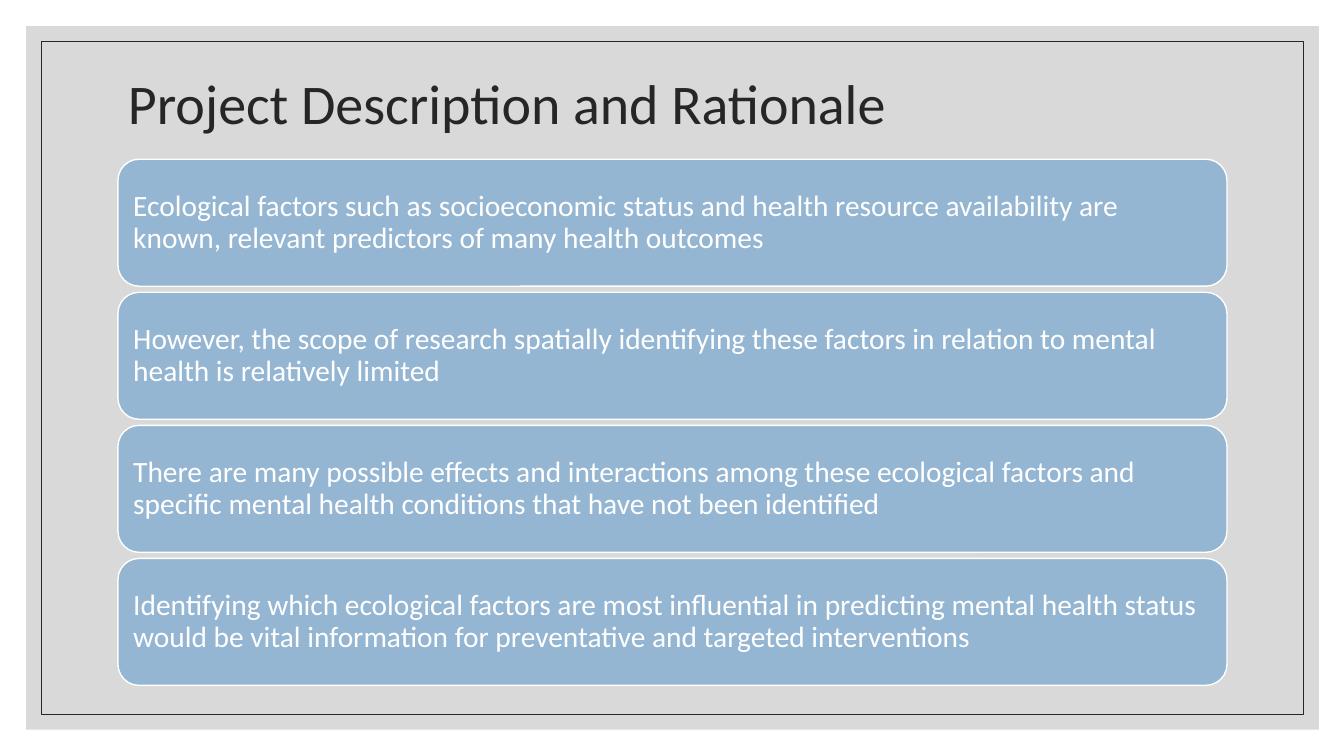
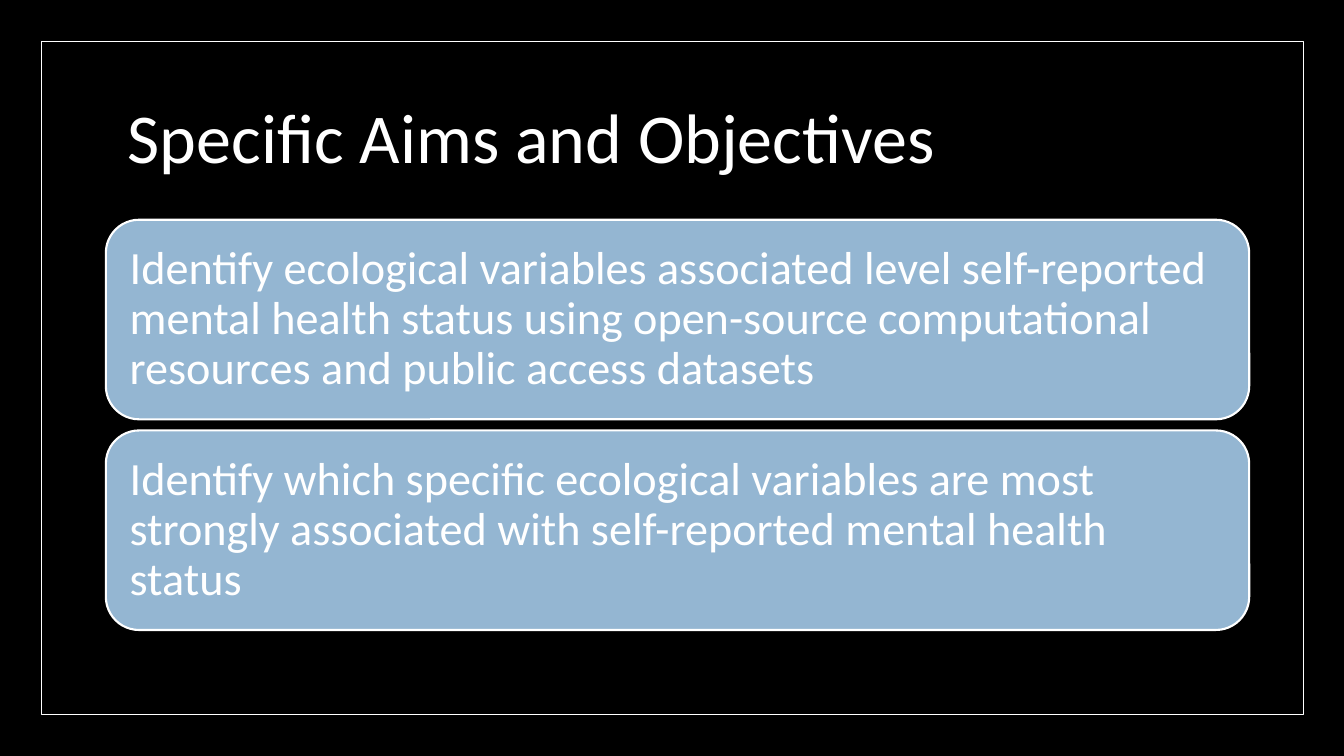
from pptx import Presentation
from pptx.dml.color import RGBColor
from pptx.enum.shapes import MSO_SHAPE
from pptx.enum.text import MSO_ANCHOR, PP_ALIGN
from pptx.util import Inches, Pt

HUES = {
    "white": "FFFFFF",
    "black": "000000",
    "ink": "262626",
    "gray": "D9D9D9",
    "blue": "94B6D2",
}
FONT = "Calibri"


def hue(name):
    return RGBColor.from_string(HUES[name])


class Deck:
    """Shared style and the current slide."""

    def __init__(self):
        self.prs = Presentation()
        self.prs.slide_width = Inches(13.33)
        self.prs.slide_height = Inches(7.5)

    def page(self, back, ink, panel=None):
        self.slide = self.prs.slides.add_slide(self.prs.slide_layouts[6])
        self.ink = ink
        fill = self.slide.background.fill
        fill.solid()
        fill.fore_color.rgb = hue(back)
        # Panel and thin frame
        if panel:
            self.box(MSO_SHAPE.RECTANGLE, (0.26, 0.26, 12.82, 6.98), fill=panel)
        self.box(MSO_SHAPE.RECTANGLE, (0.41, 0.41, 12.52, 6.68), line=ink, width=0.5)

    def box(self, kind, area, fill=None, line=None, width=1):
        shape = self.slide.shapes.add_shape(kind, *map(Inches, area))
        shape.shadow.inherit = False
        if fill:
            shape.fill.solid()
            shape.fill.fore_color.rgb = hue(fill)
        else:
            shape.fill.background()
        if line:
            shape.line.color.rgb = hue(line)
            shape.line.width = Pt(width)
        else:
            shape.line.fill.background()
        return shape

    def label(self, shape, text, size, color):
        frame = shape.text_frame
        frame.word_wrap = True
        frame.vertical_anchor = MSO_ANCHOR.MIDDLE
        para = frame.paragraphs[0]
        para.text = text
        para.alignment = PP_ALIGN.LEFT
        para.line_spacing = 0.9
        para.font.name = FONT
        para.font.size = Pt(size)
        para.font.color.rgb = hue(color)

    def title(self, text, top, size):
        area = (1.17, top, 11, 1.5)
        shape = self.slide.shapes.add_textbox(*map(Inches, area))
        self.label(shape, text, size, self.ink)

    def cards(self, texts, area, step, size, inset, width):
        left, top, wide, high = area
        for i, text in enumerate(texts):
            spot = (left, top + i * step, wide, high)
            card = self.box(MSO_SHAPE.ROUNDED_RECTANGLE, spot, "blue", "white", width)
            frame = card.text_frame
            frame.margin_left = frame.margin_right = Inches(inset)
            frame.margin_top = frame.margin_bottom = Inches(inset)
            self.label(card, text, size, "white")


def main():
    deck = Deck()

    # Rationale
    deck.page("white", "ink", panel="gray")
    deck.title("Project Description and Rationale", 0.31, 40)
    deck.cards(
        [
            "Ecological factors such as socioeconomic status and health resource "
            "availability are known, relevant predictors of many health outcomes",
            "However, the scope of research spatially identifying these factors "
            "in relation to mental health is relatively limited",
            "There are many possible effects and interactions among these ecological "
            "factors and specific mental health conditions that have not been identified",
            "Identifying which ecological factors are most influential in predicting "
            "mental health status would be vital information for preventative and "
            "targeted interventions",
        ],
        (1.17, 1.58, 11, 1.26), step=1.32, size=21, inset=0.09, width=1,
    )

    # Aims
    deck.page("black", "white")
    deck.title("Specific Aims and Objectives", 0.65, 50)
    deck.cards(
        [
            "Identify ecological variables associated level self-reported mental health "
            "status using open-source computational resources and public access datasets",
            "Identify which specific ecological variables are most strongly associated "
            "with self-reported mental health status",
        ],
        (1.05, 2.18, 11.34, 1.98), step=2.09, size=33, inset=0.14, width=1.5,
    )

    deck.prs.save("out.pptx")


if __name__ == "__main__":
    main()
